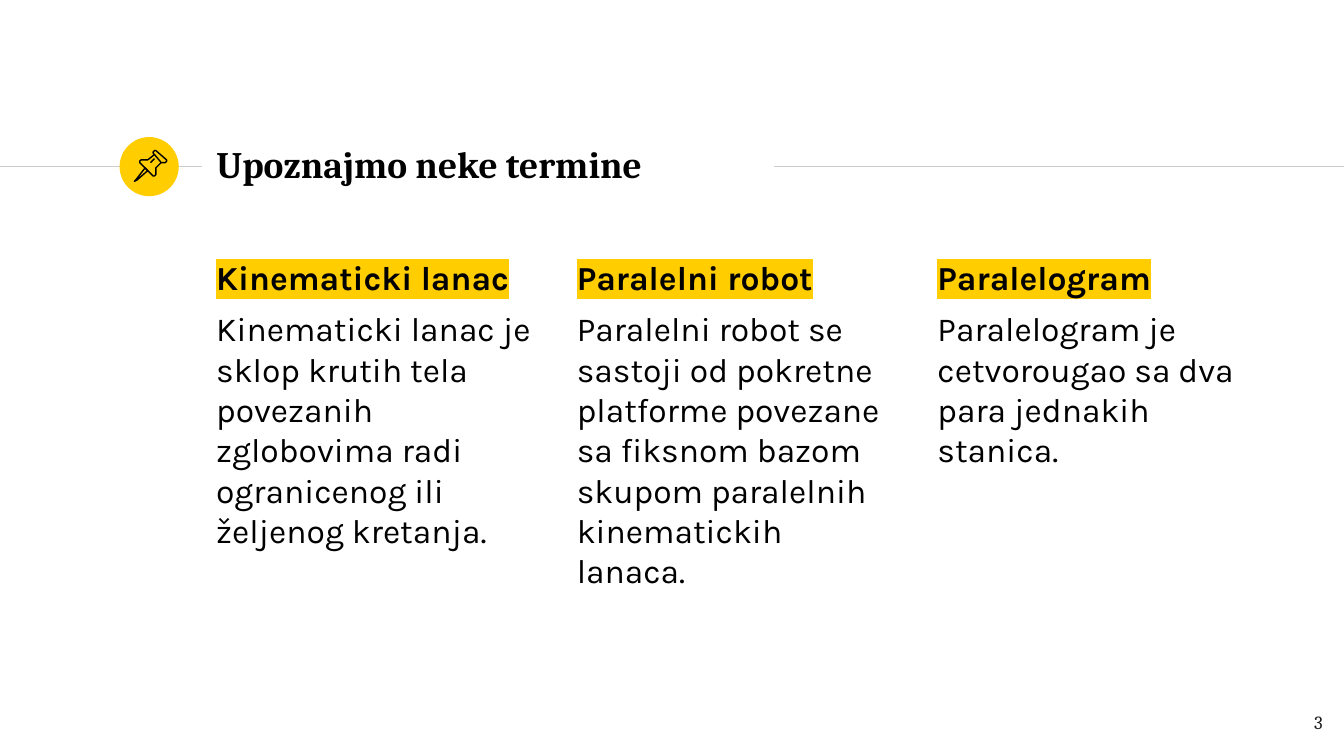
import pptx
import pptx.dml.color
import pptx.enum.shapes
import pptx.enum.text
import pptx.oxml.ns
import pptx.util
from lxml import etree
from pptx.util import Inches

COLORS = {"text": "000000", "accent": "FFCD00", "rule": "CCCCCC", "number": "1D1D1B"}
HEADING_FONT = "Cambria"
BODY_FONT = "Karla"

TERMS = [
    ("Kinematicki lanac",
     "Kinematicki lanac je sklop krutih tela povezanih zglobovima radi "
     "ogranicenog ili željenog kretanja."),
    ("Paralelni robot",
     "Paralelni robot se sastoji od pokretne platforme povezane sa fiksnom "
     "bazom skupom paralelnih kinematickih lanaca."),
    ("Paralelogram",
     "Paralelogram je cetvorougao sa dva para jednakih stanica."),
]

# Pushpin strokes in hundredths of an inch from the badge corner: (points, closed)
PIN_STROKES = [
    ([(19, 23), (12, 32), (11, 33), (13, 32), (21, 25)], True),
    ([(26, 13), (31, 19), (32, 19), (34, 19), (35, 18), (35, 17), (27, 10),
      (26, 10), (25, 11), (25, 12)], True),
    ([(26, 13), (21, 17), (18, 17), (16, 17), (15, 18), (15, 19), (25, 29),
      (26, 29), (27, 28), (27, 23), (31, 19)], False),
    ([(23, 19), (26, 16)], False),
]


def rgb(name):
    return pptx.dml.color.RGBColor.from_string(COLORS[name])


def format_text(paragraph, font_name, size, color="text", bold=False):
    for run in paragraph.runs:
        run.font.name = font_name
        run.font.size = pptx.util.Pt(size)
        run.font.bold = bold
        run.font.color.rgb = rgb(color)


def highlight(run, color):
    """Mark a run whose font colour is already set; the mark must follow that fill."""
    mark = etree.Element(pptx.oxml.ns.qn("a:highlight"))
    etree.SubElement(mark, pptx.oxml.ns.qn("a:srgbClr"), val=COLORS[color])
    run.font._element.find(pptx.oxml.ns.qn("a:solidFill")).addnext(mark)


def set_frame(shape, anchor=pptx.enum.text.MSO_ANCHOR.TOP):
    frame = shape.text_frame
    frame.word_wrap = True
    frame.auto_size = pptx.enum.text.MSO_AUTO_SIZE.NONE
    frame.vertical_anchor = anchor
    frame.margin_left = frame.margin_right = Inches(0.1)
    frame.margin_top = frame.margin_bottom = Inches(0.1)
    return frame


def add_rule(slide, left, right, y):
    rule = slide.shapes.add_connector(
        pptx.enum.shapes.MSO_CONNECTOR.STRAIGHT,
        Inches(left), Inches(y), Inches(right), Inches(y))
    rule.line.color.rgb = rgb("rule")
    rule.line.width = pptx.util.Pt(0.75)
    etree.SubElement(rule._element.spPr, pptx.oxml.ns.qn("a:effectLst"))


def add_pin_badge(slide, left, top, size):
    badge = slide.shapes.add_shape(
        pptx.enum.shapes.MSO_SHAPE.OVAL,
        Inches(left), Inches(top), Inches(size), Inches(size))
    badge.shadow.inherit = False
    badge.fill.solid()
    badge.fill.fore_color.rgb = rgb("accent")
    badge.line.fill.background()
    for points, closed in PIN_STROKES:
        builder = slide.shapes.build_freeform(*points[0], scale=Inches(0.01))
        builder.add_line_segments(points[1:], close=closed)
        stroke = builder.convert_to_shape(Inches(left), Inches(top))
        stroke.shadow.inherit = False
        stroke.fill.background()
        stroke.line.color.rgb = rgb("text")
        stroke.line.width = pptx.util.Pt(0.75)


def add_header(slide, text, left, top, width, height):
    """Title with a rule on both sides and the badge on the left one."""
    middle = top + 0.26
    badge_size = 0.44
    add_rule(slide, 0, left - 0.01, middle)
    add_pin_badge(slide, left - 0.62, middle - badge_size / 2, badge_size)
    add_rule(slide, left + width + 0.01, 10, middle)

    title = slide.shapes.title
    title.left, title.top = Inches(left), Inches(top)
    title.width, title.height = Inches(width), Inches(height)
    frame = set_frame(title, pptx.enum.text.MSO_ANCHOR.MIDDLE)
    frame.text = text
    frame.paragraphs[0].alignment = pptx.enum.text.PP_ALIGN.LEFT
    format_text(frame.paragraphs[0], HEADING_FONT, 20, bold=True)


def add_term(slide, term, definition, left, top, width, height):
    box = slide.shapes.add_textbox(
        Inches(left), Inches(top), Inches(width), Inches(height))
    frame = set_frame(box)
    frame.text = f"{term}\n{definition}"
    heading, body = frame.paragraphs
    for paragraph in (heading, body):
        paragraph.space_before = pptx.util.Pt(6)
        format_text(paragraph, BODY_FONT, 18, bold=paragraph is heading)
    highlight(heading.runs[0], "accent")


def add_terms(slide, left, top, width, height):
    gap = 0.13
    column = (width - gap * (len(TERMS) - 1)) / len(TERMS)
    for index, (term, definition) in enumerate(TERMS):
        add_term(slide, term, definition,
                 left + index * (column + gap), top, column, height)


def add_page_number(slide, number, left, top, width, height):
    box = slide.shapes.add_textbox(
        Inches(left), Inches(top), Inches(width), Inches(height))
    frame = set_frame(box)
    frame.text = str(number)
    frame.paragraphs[0].alignment = pptx.enum.text.PP_ALIGN.RIGHT
    format_text(frame.paragraphs[0], HEADING_FONT, 10, "number")


def main():
    presentation = pptx.Presentation()
    presentation.slide_width = Inches(10)
    presentation.slide_height = presentation.slide_width * 9 // 16
    slide = presentation.slides.add_slide(presentation.slide_layouts[5])
    add_header(slide, "Upoznajmo neke termine", 1.51, 0.98, 4.24, 0.48)
    add_terms(slide, 1.51, 1.81, 7.92, 3.41)
    add_page_number(slide, 3, 9.34, 5.19, 0.6, 0.43)
    presentation.save("out.pptx")


if __name__ == "__main__":
    main()
